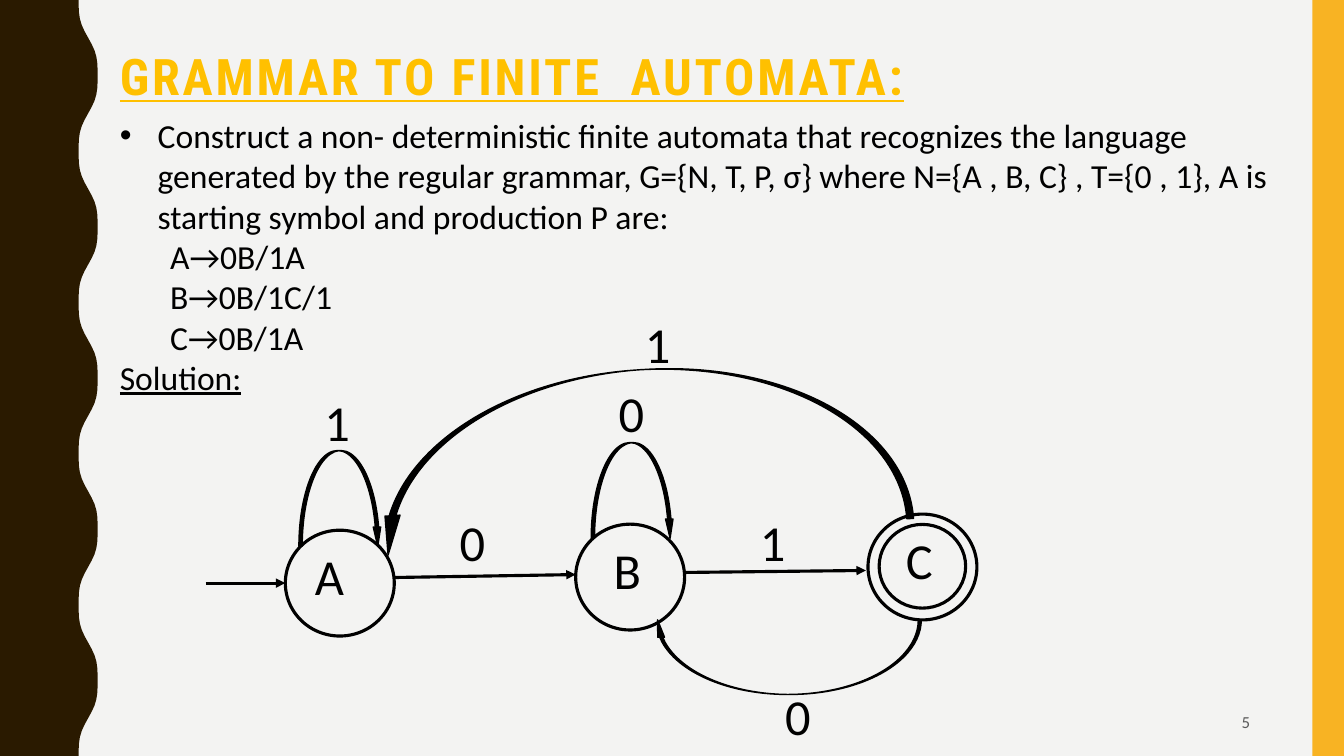
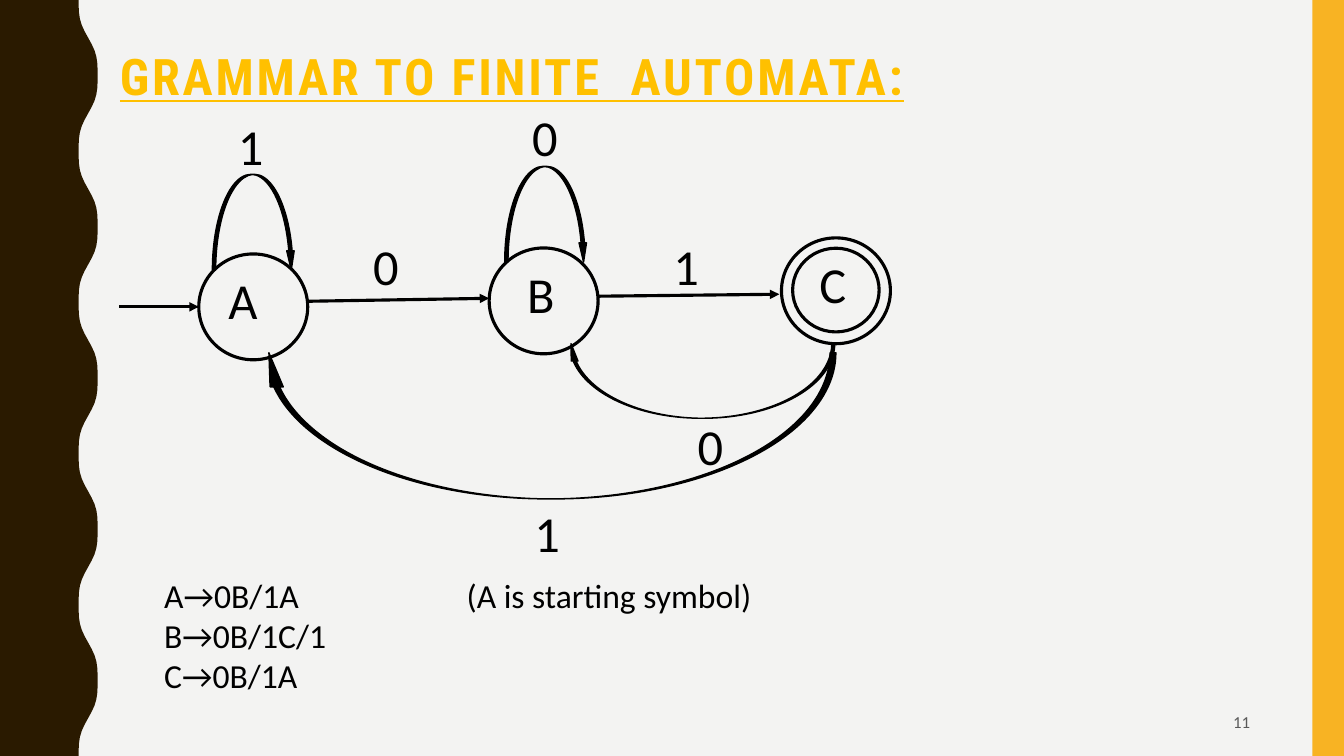
"""Build two slides that turn a regular grammar into a finite automaton."""
import dataclasses
import math

import lxml.etree
import pptx
import pptx.dml.color
import pptx.enum.shapes
import pptx.enum.text
import pptx.oxml
import pptx.oxml.ns
import pptx.util

Pt = pptx.util.Pt
SHAPE = pptx.enum.shapes.MSO_SHAPE
ALIGN = pptx.enum.text.PP_ALIGN
ANCHOR = pptx.enum.text.MSO_ANCHOR
qn = pptx.oxml.ns.qn
RGB = pptx.dml.color.RGBColor.from_string


@dataclasses.dataclass(frozen=True)
class Theme:
    paper: str = "F3F3F2"
    wave: str = "2A1A00"
    band: str = "F8B323"
    title: str = "FFC000"
    ink: str = "000000"
    muted: str = "595959"
    title_font: str = "Roboto Condensed"
    body_font: str = "Calibri"
    title_size: int = 36
    label_size: int = 36
    body_size: int = 24
    number_size: int = 12
    state_line: float = 2.25
    arc_line: float = 1


theme = Theme()
WIDTH, HEIGHT = 960, 540
STATE_WIDTH, STATE_HEIGHT = 77.8, 75.6
LABEL_WIDTH, LABEL_HEIGHT = 36, 51
TAB_STOPS = (36, 252)


def add_text(page, left, top, width, height, lines, size,
             font=theme.body_font, colour=theme.ink):
    """Add a wrapped text box with one paragraph for each line."""
    box = page.shapes.add_textbox(Pt(left), Pt(top), Pt(width), Pt(height))
    frame = box.text_frame
    frame.word_wrap = True
    frame.text = "\n".join(lines)
    for para in frame.paragraphs:
        for span in para.runs:
            span.font.name = font
            span.font.size = Pt(size)
            span.font.color.rgb = RGB(colour)
    return box


def add_outline(page, preset, left, top, width, height, line=None, fill=None):
    """Add a preset shape with an optional line width and fill colour."""
    shape = page.shapes.add_shape(preset, Pt(left), Pt(top), Pt(width), Pt(height))
    shape.shadow.inherit = False
    if fill:
        shape.fill.solid()
        shape.fill.fore_color.rgb = RGB(fill)
    else:
        shape.fill.background()
    if line:
        shape.line.color.rgb = RGB(theme.ink)
        shape.line.width = Pt(line)
    else:
        shape.line.fill.background()
    return shape


productions = ["\tA→0B/1A", "\tB→0B/1C/1", "\tC→0B/1A"]
task = ("Construct a non- deterministic finite automata that recognizes the language "
        "generated by the regular grammar, G={N, T, P, σ} where N={A , B, C} , "
        "T={0 , 1}, A is starting symbol and production P are:")

states = [("A", 0, 0, 14), ("B", 207.4, -4.3, 20), ("C", 416.2, -11.5, 20)]
transitions = [(-56.9, 37.8, 0, 37.8), (78.3, 33.8, 207.4, 31.7),
               (285.1, 30.2, 414.7, 28.8)]
shared_arcs = [(9.7, -56.9, 59, 68.4, 0, ""), (218.5, -62.6, 59, 68.4, 0, ""),
               (263.5, 64.1, 190.8, 53.3, 0, "hv")]
shared_labels = [("1", 20.9, -103), ("0", 117.4, -17.3), ("0", 231.1, -109.4),
                 ("1", 331.9, -17)]

slides = [
    dict(number="5", origin=(203.8, 378.7),
         text_box=(78.5, 78.5, 851, 239.8),
         lines=[task, *productions, "Solution:"],
         arc=(63.4, -114.5, 381.6, 119.5, 356, "h"),
         labels=[("0", 349.9, 107.3), ("1", 249.8, -158.4)]),
    dict(number="11", origin=(142, 181.4),
         text_box=(74.2, 406.8, 851, 123.8),
         lines=[productions[0] + "\t(A is starting symbol)", *productions[1:]],
         arc=(45.4, 70.6, 409.7, 104.4, 0, "hv"),
         labels=[("0", 349.2, 111.6), ("1", 232.6, 173.5)]),
]

deck = pptx.Presentation()
deck.slide_width, deck.slide_height = Pt(WIDTH), Pt(HEIGHT)
background = deck.slide_master.background.fill
background.solid()
background.fore_color.rgb = RGB(theme.paper)

wave_points = []
for step in range(121):
    turn = 2 * math.pi * step / 24
    swing = (math.cos(turn) - 0.1 * math.cos(3 * turn)) / 0.9
    wave_points.append((Pt(63 - 6.8 * swing), Pt(HEIGHT * step / 120)))

for content in slides:
    page = deck.slides.add_slide(deck.slide_layouts[6])

    builder = page.shapes.build_freeform(0, 0)
    builder.add_line_segments([*wave_points, (0, Pt(HEIGHT))], close=True)
    wave = builder.convert_to_shape()
    wave.shadow.inherit = False
    wave.fill.solid()
    wave.fill.fore_color.rgb = RGB(theme.wave)
    wave.line.fill.background()
    add_outline(page, SHAPE.RECTANGLE, 937.5, 0, 22.5, HEIGHT, fill=theme.band)

    title = add_text(page, 78.5, 33.8, 843, 70.6, ["GRAMMAR TO FINITE  AUTOMATA:"],
                     theme.title_size, theme.title_font, theme.title)
    para = title.text_frame.paragraphs[0]
    para.line_spacing = 0.9
    span = para.runs[0]
    span.font.bold = True
    span.font.underline = True
    span.font._element.set("spc", "200")

    number = add_text(page, 678.2, 501.8, 221.8, 27.4, [content["number"]],
                      theme.number_size, colour=theme.muted)
    number.text_frame.vertical_anchor = ANCHOR.MIDDLE
    number.text_frame.paragraphs[0].alignment = ALIGN.RIGHT

    body = add_text(page, *content["text_box"], content["lines"], theme.body_size)
    for para, line in zip(body.text_frame.paragraphs, content["lines"]):
        properties = para._p.get_or_add_pPr()
        if line == task:
            properties.set("marL", str(Pt(27)))
            properties.set("indent", str(-Pt(27)))
            font = lxml.etree.SubElement(properties, qn("a:buFont"))
            font.set("typeface", "Arial")
            bullet = lxml.etree.SubElement(properties, qn("a:buChar"))
            bullet.set("char", "•")
        elif line.startswith("\t"):
            stops = lxml.etree.SubElement(properties, qn("a:tabLst"))
            for position in TAB_STOPS:
                stop = lxml.etree.SubElement(stops, qn("a:tab"))
                stop.set("pos", str(Pt(position)))
                stop.set("algn", "l")
        else:
            para.runs[0].font.underline = True

    origin_x, origin_y = content["origin"]
    labels = shared_labels + content["labels"]
    for name, left, top, label_shift in states:
        add_outline(page, SHAPE.OVAL, origin_x + left, origin_y + top,
                    STATE_WIDTH, STATE_HEIGHT, theme.state_line)
        labels = labels + [(name, left + label_shift, top + 7.2)]
    name, left, top, label_shift = states[-1]
    add_outline(page, SHAPE.OVAL, origin_x + left + 8, origin_y + top + 7.4,
                STATE_WIDTH - 16, STATE_HEIGHT - 15.8, theme.state_line)

    for left, top, width, height, rotation, flip in shared_arcs + [content["arc"]]:
        arc = add_outline(page, SHAPE.CURVED_DOWN_ARROW, origin_x + left, origin_y + top,
                          width, height, theme.arc_line, theme.ink)
        for index, value in enumerate((0.04, 0.09, 0.233)):
            arc.adjustments[index] = value
        arc.rotation = rotation
        frame = arc._element.spPr.find(qn("a:xfrm"))
        for axis in flip:
            frame.set("flip" + axis.upper(), "1")

    for start_x, start_y, end_x, end_y in transitions:
        arrow = page.shapes.add_connector(
            pptx.enum.shapes.MSO_CONNECTOR.STRAIGHT,
            Pt(origin_x + start_x), Pt(origin_y + start_y),
            Pt(origin_x + end_x), Pt(origin_y + end_y))
        arrow.line.color.rgb = RGB(theme.ink)
        arrow.line.width = Pt(theme.state_line)
        head = lxml.etree.SubElement(arrow.line._get_or_add_ln(), qn("a:tailEnd"))
        head.set("type", "triangle")
        lxml.etree.SubElement(arrow._element.spPr, qn("a:effectLst"))

    for text, left, top in labels:
        add_text(page, origin_x + left, origin_y + top, LABEL_WIDTH, LABEL_HEIGHT,
                 [text], theme.label_size)

deck.save("out.pptx")
